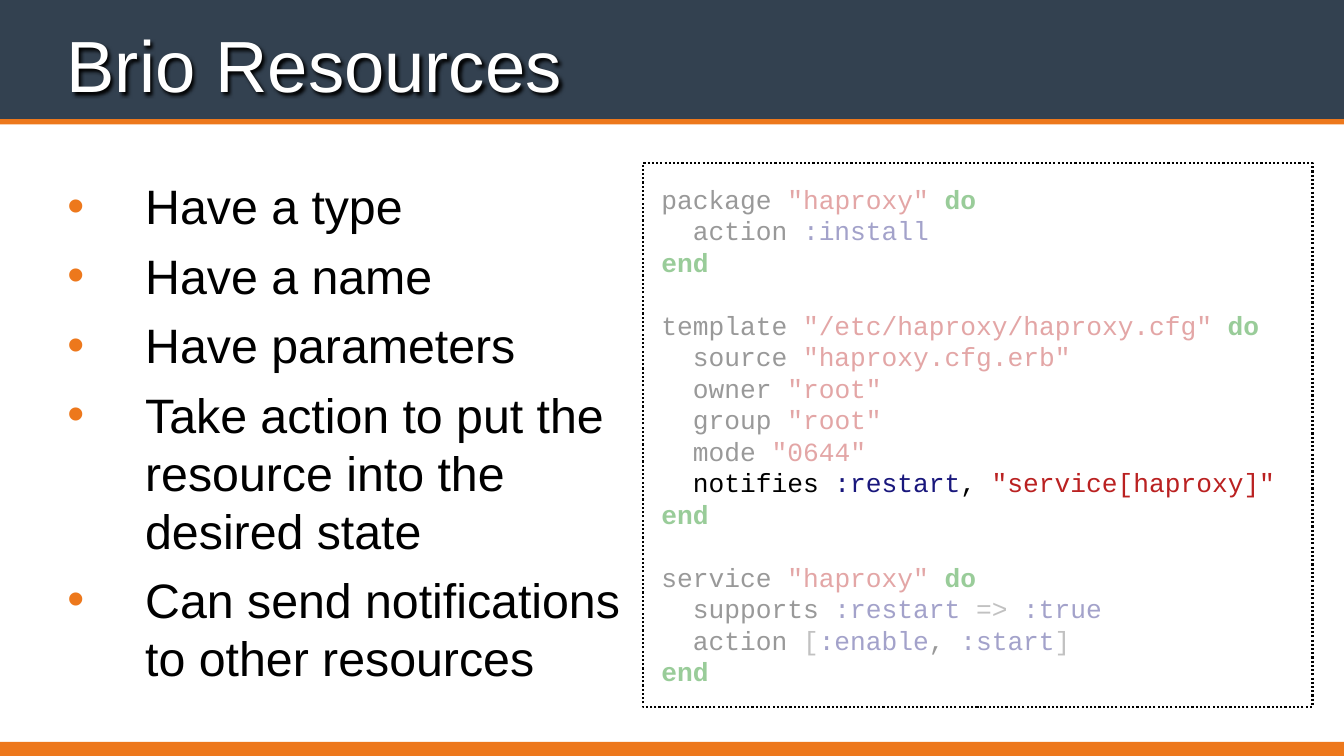
from lxml import etree
from pptx import Presentation
from pptx.dml.color import RGBColor
from pptx.enum.dml import MSO_LINE
from pptx.enum.shapes import MSO_SHAPE
from pptx.enum.text import MSO_ANCHOR, PP_ALIGN
from pptx.oxml.ns import qn
from pptx.util import Pt

RECTANGLE = MSO_SHAPE.RECTANGLE
DOTTED = MSO_LINE.ROUND_DOT
TOP, MIDDLE, BOTTOM = MSO_ANCHOR.TOP, MSO_ANCHOR.MIDDLE, MSO_ANCHOR.BOTTOM
LEFT = PP_ALIGN.LEFT

WHITE = RGBColor(0xFF, 0xFF, 0xFF)
BLACK = RGBColor(0x00, 0x00, 0x00)
SLATE = RGBColor(0x33, 0x41, 0x50)
ORANGE = RGBColor(0xED, 0x78, 0x1C)
STRING = RGBColor(0xBA, 0x21, 0x21)
KEYWORD = RGBColor(0x00, 0x80, 0x00)
SYMBOL = RGBColor(0x19, 0x17, 0x7C)
OPERATOR = RGBColor(0x66, 0x66, 0x66)

SLIDE_WIDTH, SLIDE_HEIGHT = 1280, 720
LINE_FACTOR = 1.2

BULLETS = [
    "Have a type",
    "Have a name",
    "Have parameters",
    "Take action to put the resource into the desired state",
    "Can send notifications to other resources",
]

DO = ("do", KEYWORD)
END = [("end", KEYWORD)]
CODE_BLOCKS = [
    [
        [("package ", BLACK), ('"haproxy" ', STRING), DO],
        [("  action ", BLACK), (":install", SYMBOL)],
        END,
    ],
    [
        [("template ", BLACK), ('"/etc/haproxy/haproxy.cfg" ', STRING), DO],
        [("  source ", BLACK), ('"haproxy.cfg.erb"', STRING)],
        [("  owner ", BLACK), ('"root"', STRING)],
        [("  group ", BLACK), ('"root"', STRING)],
        [("  mode ", BLACK), ('"0644"', STRING)],
        [("  notifies ", BLACK), (":restart", SYMBOL), (", ", BLACK),
         ('"service[haproxy]"', STRING)],
        END,
    ],
    [
        [("service ", BLACK), ('"haproxy" ', STRING), DO],
        [("  supports ", BLACK), (":restart ", SYMBOL), ("=> ", OPERATOR), (":true", SYMBOL)],
        [("  action ", BLACK), ("[", OPERATOR), (":enable", SYMBOL), (", ", BLACK),
         (":start", SYMBOL), ("]", OPERATOR)],
        END,
    ],
]

VEILS = [
    (550, 126, 54, 48),
    (16, 12, 330, 102),
    (10, 132, 540, 156),
    (10, 372, 444, 132),
    (10, 324, 72, 36),
]


def add_rectangle(slide, box, color):
    """Add a plain filled rectangle without line or shadow."""
    shape = slide.shapes.add_shape(RECTANGLE, *map(Pt, box))
    shape.shadow.inherit = False
    shape.fill.solid()
    shape.fill.fore_color.rgb = color
    shape.line.fill.background()
    return shape


def add_text_box(slide, box, anchor, inset=0):
    """Add a wrapping text box."""
    shape = slide.shapes.add_textbox(*map(Pt, box))
    frame = shape.text_frame
    frame.word_wrap = True
    frame.vertical_anchor = anchor
    frame.margin_left = frame.margin_right = Pt(inset)
    frame.margin_top = frame.margin_bottom = Pt(inset)
    return shape


def next_paragraph(frame, is_first):
    """Return the first paragraph of the frame or a new one, left aligned."""
    paragraph = frame.paragraphs[0] if is_first else frame.add_paragraph()
    paragraph.alignment = LEFT
    return paragraph


def add_run(paragraph, text, font_name, size, color, bold=False):
    """Add a formatted run to a paragraph."""
    run = paragraph.add_run()
    run.text = text
    run.font.size = Pt(size)
    run.font.bold = bold
    run.font.color.rgb = color
    run.font.name = font_name


def add_text_shadow(shape):
    """Give the letters of an unfilled text box a soft dark shadow."""
    effects = etree.SubElement(shape._element.spPr, qn("a:effectLst"))
    shadow = etree.SubElement(effects, qn("a:outerShdw"), blurRad=str(Pt(3)),
                              dist=str(Pt(3)), dir="2700000", algn="tl")
    etree.SubElement(shadow, qn("a:srgbClr"), val=str(BLACK))


def add_bullet(paragraph, indent):
    """Give a paragraph a hanging orange bullet."""
    properties = paragraph._p.get_or_add_pPr()
    properties.set("marL", str(Pt(indent)))
    properties.set("indent", str(-Pt(indent)))
    color = etree.SubElement(properties, qn("a:buClr"))
    etree.SubElement(color, qn("a:srgbClr"), val=str(ORANGE))
    etree.SubElement(properties, qn("a:buFont"), typeface="Arial")
    etree.SubElement(properties, qn("a:buChar"), char="•")


def add_frame_bars(slide, width, height):
    """Draw the header band, its rule and the footer bar."""
    add_rectangle(slide, (0, -10, width, 128), SLATE)
    add_rectangle(slide, (0, 113.5, width, 5), ORANGE)
    add_rectangle(slide, (0, height - 13.5, width, 18), ORANGE)


def add_title(slide, box, text):
    """Write the slide title."""
    title = add_text_box(slide, box, BOTTOM)
    add_text_shadow(title)
    add_run(next_paragraph(title.text_frame, True), text, "Arial", 69, WHITE)


def add_bullet_list(slide, box, items, size=46):
    """Write the bulleted list."""
    frame = add_text_box(slide, box, TOP).text_frame
    for index, item in enumerate(items):
        paragraph = next_paragraph(frame, index == 0)
        paragraph.line_spacing = Pt(size * LINE_FACTOR)
        if index:
            paragraph.space_before = Pt(11)
        add_bullet(paragraph, 74)
        add_run(paragraph, item, "Arial", size, BLACK)


def add_code_panel(slide, box, blocks, size=25):
    """Draw the dotted panel and write the code blocks in it."""
    panel = add_rectangle(slide, box, WHITE)
    panel.line.color.rgb = BLACK
    panel.line.width = Pt(2)
    panel.line.dash_style = DOTTED
    frame = add_text_box(slide, box, MIDDLE, 18).text_frame
    line_height = Pt(size * LINE_FACTOR)
    for block_index, block in enumerate(blocks):
        for line_index, tokens in enumerate(block):
            paragraph = next_paragraph(frame, block_index == line_index == 0)
            paragraph.line_spacing = line_height
            if block_index and line_index == 0:
                paragraph.space_before = line_height
            for text, color in tokens:
                add_run(paragraph, text, "Courier New", size, color, color == KEYWORD)


def add_veils(slide, box, veils):
    """Fade parts of the code with translucent white rectangles."""
    for left, top, width, height in veils:
        veil = add_rectangle(slide, (box[0] + left, box[1] + top, width, height), WHITE)
        color = veil._element.spPr.find(qn("a:solidFill"))[0]
        etree.SubElement(color, qn("a:alpha"), val="60000")


def main():
    """Build the slide and save it."""
    presentation = Presentation()
    presentation.slide_width = Pt(SLIDE_WIDTH)
    presentation.slide_height = Pt(SLIDE_HEIGHT)
    slide = presentation.slides.add_slide(presentation.slide_layouts[6])
    code_box = (612, 155.5, 638, 517.5)
    add_frame_bars(slide, SLIDE_WIDTH, SLIDE_HEIGHT)
    add_code_panel(slide, code_box, CODE_BLOCKS)
    add_title(slide, (63.5, 13.5, 1154, 88), "Brio Resources")
    add_bullet_list(slide, (64.3, 168, 548, 475), BULLETS)
    add_veils(slide, code_box, VEILS)
    presentation.save("out.pptx")


if __name__ == "__main__":
    main()
